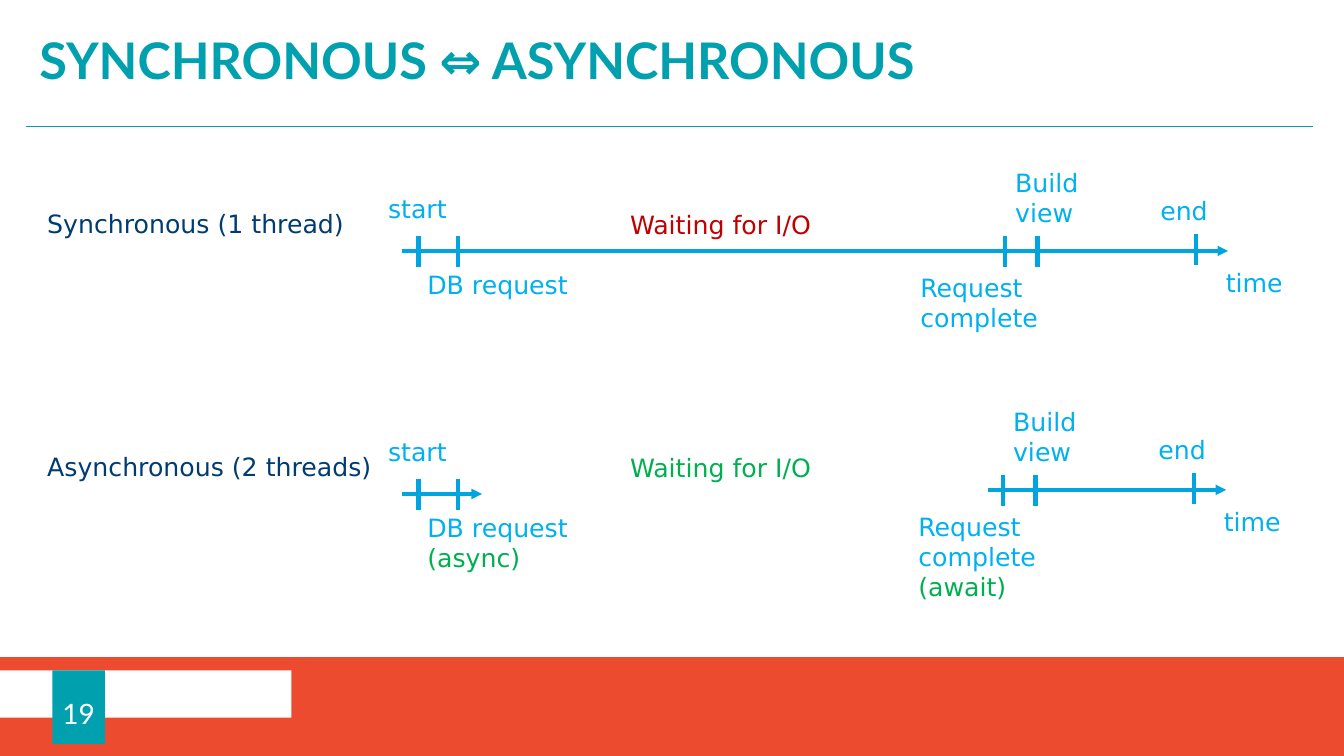
from lxml.etree import SubElement
from pptx import Presentation
from pptx.dml.color import RGBColor
from pptx.enum.shapes import MSO_CONNECTOR as Link, MSO_SHAPE as Shape
from pptx.enum.text import MSO_ANCHOR as Anchor, MSO_AUTO_SIZE as Fit, PP_ALIGN as Align
from pptx.oxml.ns import qn
from pptx.util import Inches, Pt

WHITE = RGBColor(0xFF, 0xFF, 0xFF)
ORANGE = RGBColor(0xEC, 0x4B, 0x2F)
TEAL = RGBColor(0x00, 0xA0, 0xAE)
NAVY = RGBColor(0x00, 0x3C, 0x72)
AXIS_BLUE = RGBColor(0x00, 0xA5, 0xE0)
LABEL_BLUE = RGBColor(0x00, 0xB0, 0xF0)
RED = RGBColor(0xC0, 0x00, 0x00)
GREEN = RGBColor(0x00, 0xB0, 0x50)

TICK = 0.31
ONE_LINE, TWO_LINES, THREE_LINES = 0.4, 0.71, 1.01


class Painter:
    heading = {"name": "Lato", "size": Pt(36), "bold": True}
    number = {"name": "Lato", "size": Pt(20)}
    body = {"name": "DejaVu Sans", "size": Pt(18)}

    def __init__(self, page):
        self.page = page

    def bar(self, left, top, width, height, color):
        box = self.page.shapes.add_shape(
            Shape.RECTANGLE, *map(Inches, (left, top, width, height)))
        box.shadow.inherit = False
        box.fill.solid()
        box.fill.fore_color.rgb = color
        box.line.fill.background()
        return box

    def line(self, x1, y1, x2, y2, color, weight, arrow=False):
        line = self.page.shapes.add_connector(
            Link.STRAIGHT, *map(Inches, (x1, y1, x2, y2)))
        line.line.color.rgb = color
        line.line.width = Pt(weight)
        properties = line._element.spPr
        if arrow:
            SubElement(properties.find(qn("a:ln")), qn("a:tailEnd"), type="triangle")
        SubElement(properties, qn("a:effectLst"))

    def fill_text(self, box, paragraphs, font, para_format=None, **frame_format):
        """Each paragraph is a list of (text, color) runs."""
        frame = box.text_frame
        for key, value in frame_format.items():
            setattr(frame, key, value)
        for index, spans in enumerate(paragraphs):
            para = frame.add_paragraph() if index else frame.paragraphs[0]
            for key, value in (para_format or {}).items():
                setattr(para, key, value)
            for text, color in spans:
                span = para.add_run()
                span.text = text
                span.font.color.rgb = color
                for key, value in font.items():
                    setattr(span.font, key, value)

    def text_box(self, left, top, width, height):
        return self.page.shapes.add_textbox(*map(Inches, (left, top, width, height)))

    def label(self, left, top, width, height, *paragraphs, wrap=True):
        self.fill_text(self.text_box(left, top, width, height), paragraphs, self.body,
                       word_wrap=wrap, auto_size=Fit.SHAPE_TO_FIT_TEXT)

    def axis(self, start, end, y):
        self.line(start, y, end, y, AXIS_BLUE, 2.5, arrow=True)

    def tick(self, x, top):
        self.line(x, top, x, top + TICK, AXIS_BLUE, 3)


def draw_request(painter, y, caption, caption_width, axis_end, wait_color, request, height):
    """Caption, start of the timeline and the wait, around an axis at height y."""
    painter.axis(3.99, axis_end, y)
    painter.label(0.37, y - 0.47, caption_width, ONE_LINE, [(caption, NAVY)], wrap=False)
    for x in (4.15, 4.54):
        painter.tick(x, y - 0.15)
    painter.label(3.75, y - 0.62, 0.79, ONE_LINE, [("start", LABEL_BLUE)], wrap=False)
    painter.label(4.14, y + 0.13, 1.66, height, request)
    painter.label(6.15, y - 0.46, 2.41, ONE_LINE, [("Waiting for I/O", wait_color)])


def draw_response(painter, shift, y, height, *extra):
    """Completion, view building and end, around an axis at height y."""
    for x in (9.97, 10.29):
        painter.tick(x + shift, y - 0.15)
    painter.tick(11.86 + shift, y - 0.17)
    painter.label(9.03 + shift, y + 0.16, 1.5, height,
                  [("Request complete", LABEL_BLUE)], *extra)
    painter.label(9.97 + shift, y - 0.88, 1.04, TWO_LINES, [("Build view", LABEL_BLUE)])
    painter.label(11.41 + shift, y - 0.6, 0.67, ONE_LINE, [("end", LABEL_BLUE)], wrap=False)
    painter.label(12.06 + shift, y + 0.11, 0.77, ONE_LINE, [("time", LABEL_BLUE)], wrap=False)


def main():
    deck = Presentation()
    deck.slide_width, deck.slide_height = Inches(13.33), Inches(7.5)
    painter = Painter(deck.slides.add_slide(deck.slide_layouts[6]))

    # Footer band and page number
    painter.bar(0, 6.52, 13.33, 0.98, ORANGE)
    painter.bar(0, 6.65, 2.89, 0.47, WHITE)
    badge = painter.bar(0.52, 6.65, 0.52, 0.73, TEAL)
    painter.fill_text(badge, [[("19", WHITE)]], painter.number, {"alignment": Align.CENTER},
                      word_wrap=False, vertical_anchor=Anchor.MIDDLE, margin_left=0,
                      margin_right=0, margin_top=Inches(0.12), margin_bottom=0)

    # Title and rule
    painter.line(0.26, 1.25, 13.02, 1.25, TEAL, 0.5)
    painter.fill_text(painter.text_box(0, 0, 13.33, 1.25),
                      [[("SYNCHRONOUS ⇔ ASYNCHRONOUS", TEAL)]], painter.heading,
                      {"line_spacing": 0.8}, word_wrap=True, vertical_anchor=Anchor.MIDDLE,
                      margin_left=Inches(0.39), margin_right=Inches(0.39),
                      margin_top=Inches(0.2), margin_bottom=Inches(0.16))

    # Synchronous timeline: one unbroken axis
    draw_request(painter, 2.49, "Synchronous (1 thread)", 3.23, 12.18, RED,
                 [("DB request", LABEL_BLUE)], ONE_LINE)
    draw_response(painter, 0, 2.49, TWO_LINES)

    # Asynchronous timeline: the axis is split by the wait
    draw_request(painter, 4.9, "Asynchronous (2 threads)", 3.49, 4.78, GREEN,
                 [("DB request ", LABEL_BLUE), ("(async)", GREEN)], TWO_LINES)
    painter.axis(9.8, 12.16, 4.86)
    draw_response(painter, -0.02, 4.86, THREE_LINES, [("(await)", GREEN)])

    deck.save("out.pptx")


if __name__ == "__main__":
    main()
